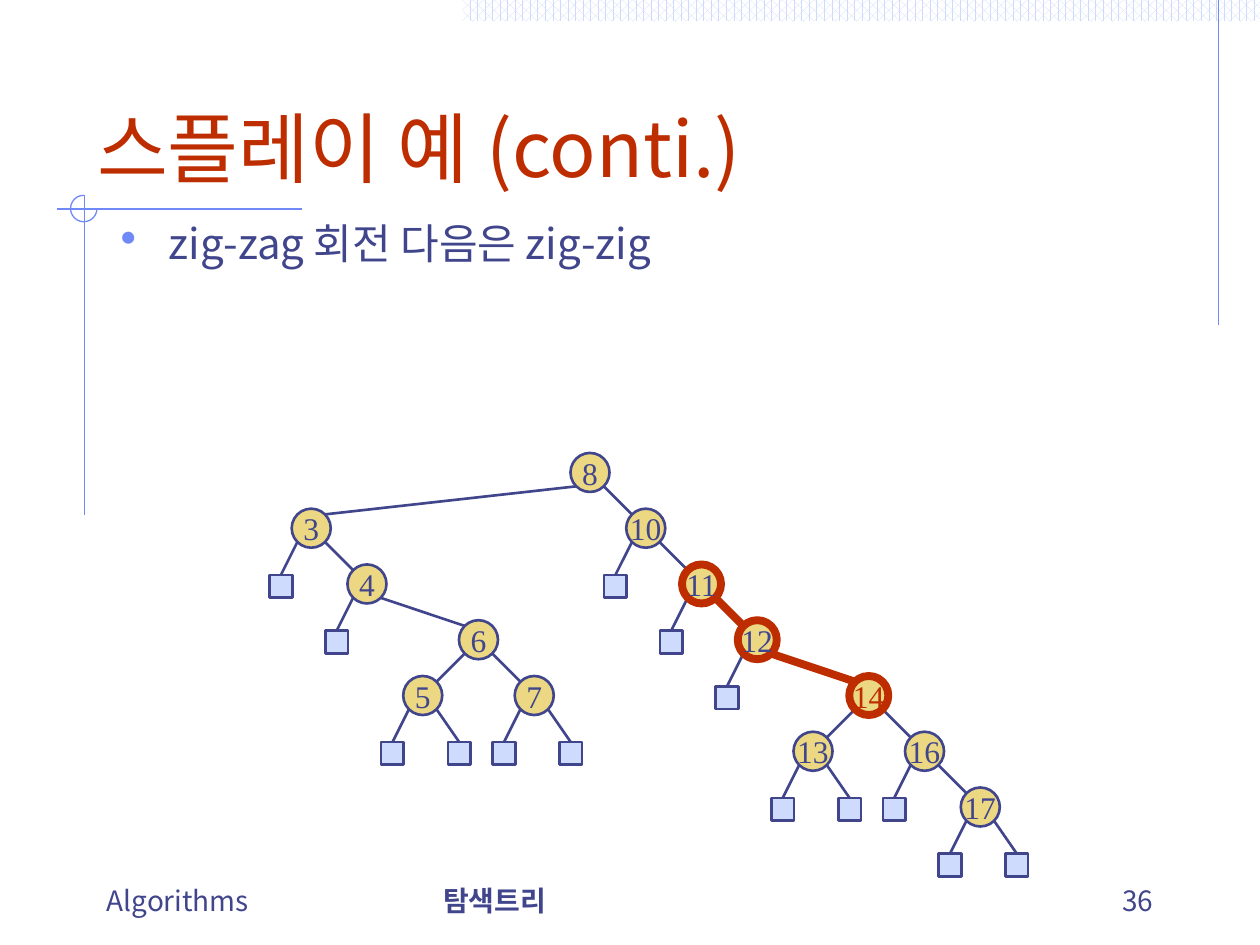
from dataclasses import dataclass
from itertools import count
from typing import Iterator, Optional

from lxml import etree
from pptx import Presentation
from pptx.dml.color import RGBColor
from pptx.enum.dml import MSO_PATTERN
from pptx.enum.shapes import MSO_CONNECTOR, MSO_SHAPE
from pptx.enum.text import MSO_ANCHOR, MSO_AUTO_SIZE, PP_ALIGN
from pptx.oxml.ns import qn
from pptx.util import Inches, Pt

STRAIGHT = MSO_CONNECTOR.STRAIGHT
OVAL, RECT, ARC = MSO_SHAPE.OVAL, MSO_SHAPE.RECTANGLE, MSO_SHAPE.ARC
LEFT, CENTER, RIGHT = PP_ALIGN.LEFT, PP_ALIGN.CENTER, PP_ALIGN.RIGHT
TOP, MIDDLE, BOTTOM = MSO_ANCHOR.TOP, MSO_ANCHOR.MIDDLE, MSO_ANCHOR.BOTTOM

INDIGO = RGBColor(0x40, 0x45, 0x8C)
RED = RGBColor(0xBE, 0x2D, 0x00)
BLUE = RGBColor(0x6F, 0x89, 0xF7)
PALE = RGBColor(0xCF, 0xDB, 0xFD)
GOLD = RGBColor(0xEC, 0xD8, 0x82)
WHITE = RGBColor(0xFF, 0xFF, 0xFF)

SANS, SERIF = "Noto Sans CJK KR", "Times New Roman"
ORIGIN_X, ORIGIN_Y, STEP = 2.47, 3.75, 0.4425
NODE, LEAF, JOINT = 0.31, 0.18, 0.11
LEAF_DX = {-1: -0.24, 1: 0.29}
LEAF_DY = 0.37


@dataclass
class Node:
    key: int
    left: Optional["Node"] = None
    right: Optional["Node"] = None
    on_path: bool = False
    text_color: RGBColor = INDIGO
    x: float = 0
    y: float = 0


@dataclass
class Label:
    text: str
    box: tuple
    align: PP_ALIGN = LEFT
    bold: bool = False


TREE = Node(
    8,
    Node(3, right=Node(4, right=Node(6, Node(5), Node(7)))),
    Node(10, right=Node(11, on_path=True, right=Node(
        12, on_path=True, right=Node(
            14, Node(13), Node(16, right=Node(17)),
            on_path=True, text_color=RED)))),
)

FOOTERS = [
    Label("Algorithms", (0.75, 6.83, 2.37, 0.5)),
    Label("탐색트리", (3.42, 6.83, 3.17, 0.5), bold=True),
    Label("36", (7.17, 6.83, 2.08, 0.5), RIGHT),
]

RULES = [
    ((9.67, 0), (9.67, 2.58)),
    ((2.4, 1.66), (0.45, 1.66)),
    ((0.67, 1.55), (0.67, 4.09)),
]


def write(sp, text: str, size: float, color: RGBColor, font: str = SANS,
          align: PP_ALIGN = LEFT, anchor: MSO_ANCHOR = TOP,
          bold: bool = False, wrap: bool = True):
    tf = sp.text_frame
    frame_format = {"word_wrap": wrap, "vertical_anchor": anchor,
                    "auto_size": MSO_AUTO_SIZE.NONE}
    for name, value in frame_format.items():
        setattr(tf, name, value)
    p = tf.paragraphs[0]
    p.alignment = align
    r = p.add_run()
    r.text = text
    font_format = {"name": font, "size": Pt(size), "bold": bold}
    for name, value in font_format.items():
        setattr(r.font, name, value)
    r.font.color.rgb = color
    etree.SubElement(r._r.get_or_add_rPr(), qn("a:ea"), typeface=font)
    return p


def add_text(slide, box: tuple, text: str, size: float, **kwargs):
    sp = slide.shapes.add_textbox(*map(Inches, box))
    return write(sp, text, size, INDIGO, **kwargs)


def add_line(slide, start: tuple, end: tuple, color: RGBColor, width: float) -> None:
    line = slide.shapes.add_connector(STRAIGHT, *map(Inches, start + end))
    line.line.color.rgb = color
    line.line.width = Pt(width)
    etree.SubElement(line._element.spPr, qn("a:effectLst"))


def add_box(slide, kind: MSO_SHAPE, box: tuple, fill: Optional[RGBColor],
            line: Optional[RGBColor], width: float = 1.5):
    sp = slide.shapes.add_shape(kind, *map(Inches, box))
    sp.shadow.inherit = False
    if fill is None:
        sp.fill.background()
    else:
        sp.fill.solid()
        sp.fill.fore_color.rgb = fill
    if line is None:
        sp.line.fill.background()
    else:
        sp.line.color.rgb = line
        sp.line.width = Pt(width)
    return sp


def place(node: Optional[Node], columns: Iterator[int], depth: int = 0) -> None:
    if node is None:
        return
    place(node.left, columns, depth + 1)
    node.x = ORIGIN_X + STEP * next(columns)
    node.y = ORIGIN_Y + STEP * depth
    place(node.right, columns, depth + 1)


def draw_edges(slide, node: Node) -> None:
    for side, child in ((-1, node.left), (1, node.right)):
        start = (node.x + side * JOINT, node.y + JOINT)
        if child is None:
            x, y = node.x + LEAF_DX[side], node.y + LEAF_DY
            add_line(slide, (x, y), start, INDIGO, 1.5)
            add_box(slide, RECT, (x - LEAF / 2, y, LEAF, LEAF), PALE, INDIGO)
        else:
            hot = node.on_path and child.on_path
            end = (child.x - side * JOINT, child.y - JOINT)
            add_line(slide, end, start, *((RED, 4.5) if hot else (INDIGO, 1.5)))
            draw_edges(slide, child)


def draw_nodes(slide, node: Optional[Node]) -> None:
    if node is None:
        return
    outline = (RED, 4.5) if node.on_path else (INDIGO, 1.5)
    box = (node.x - NODE / 2, node.y - NODE / 2, NODE, NODE)
    sp = add_box(slide, OVAL, box, GOLD, *outline)
    for side in ("left", "top", "right", "bottom"):
        setattr(sp.text_frame, f"margin_{side}", 0)
    write(sp, str(node.key), 18, node.text_color, SERIF, CENTER, MIDDLE, wrap=False)
    draw_nodes(slide, node.left)
    draw_nodes(slide, node.right)


def draw_decor(slide) -> None:
    strip = add_box(slide, RECT, (3.67, 0, 6.33, 0.17), PALE, None)
    strip.fill.patterned()
    strip.fill.pattern = MSO_PATTERN.PERCENT_60
    strip.fill.fore_color.rgb = PALE
    strip.fill.back_color.rgb = WHITE
    for start, end in RULES:
        add_line(slide, start, end, BLUE, 0.75)
    arc = add_box(slide, ARC, (0.56, 1.55, 0.21, 0.21), None, BLUE, 0.75)
    arc.adjustments[0] = 0
    arc.adjustments[1] = 162


def add_bullet(p) -> None:
    p.line_spacing = 0.9
    pPr = p._p.get_or_add_pPr()
    pPr.set("marL", str(Inches(0.38)))
    pPr.set("indent", str(-Inches(0.38)))
    color = etree.SubElement(pPr, qn("a:buClr"))
    etree.SubElement(color, qn("a:srgbClr"), val=str(BLUE))
    etree.SubElement(pPr, qn("a:buSzPct"), val="110000")
    etree.SubElement(pPr, qn("a:buChar"), char="•")


def main() -> None:
    prs = Presentation()
    prs.slide_width, prs.slide_height = Inches(10), Inches(7.5)
    slide = prs.slides.add_slide(prs.slide_layouts[5])
    draw_decor(slide)
    title = slide.shapes.title
    title_box = {"left": 0.67, "top": 0.33, "width": 8.63, "height": 1.25}
    for name, value in title_box.items():
        setattr(title, name, Inches(value))
    write(title, "스플레이 예 (conti.)", 44, RED, anchor=BOTTOM)
    add_bullet(add_text(slide, (0.86, 1.72, 8.36, 0.63), "zig-zag 회전 다음은 zig-zig", 24))
    for label in FOOTERS:
        add_text(slide, label.box, label.text, 16, align=label.align,
                 anchor=BOTTOM, bold=label.bold)
    place(TREE, count())
    draw_edges(slide, TREE)
    draw_nodes(slide, TREE)
    prs.save("out.pptx")


if __name__ == "__main__":
    main()
